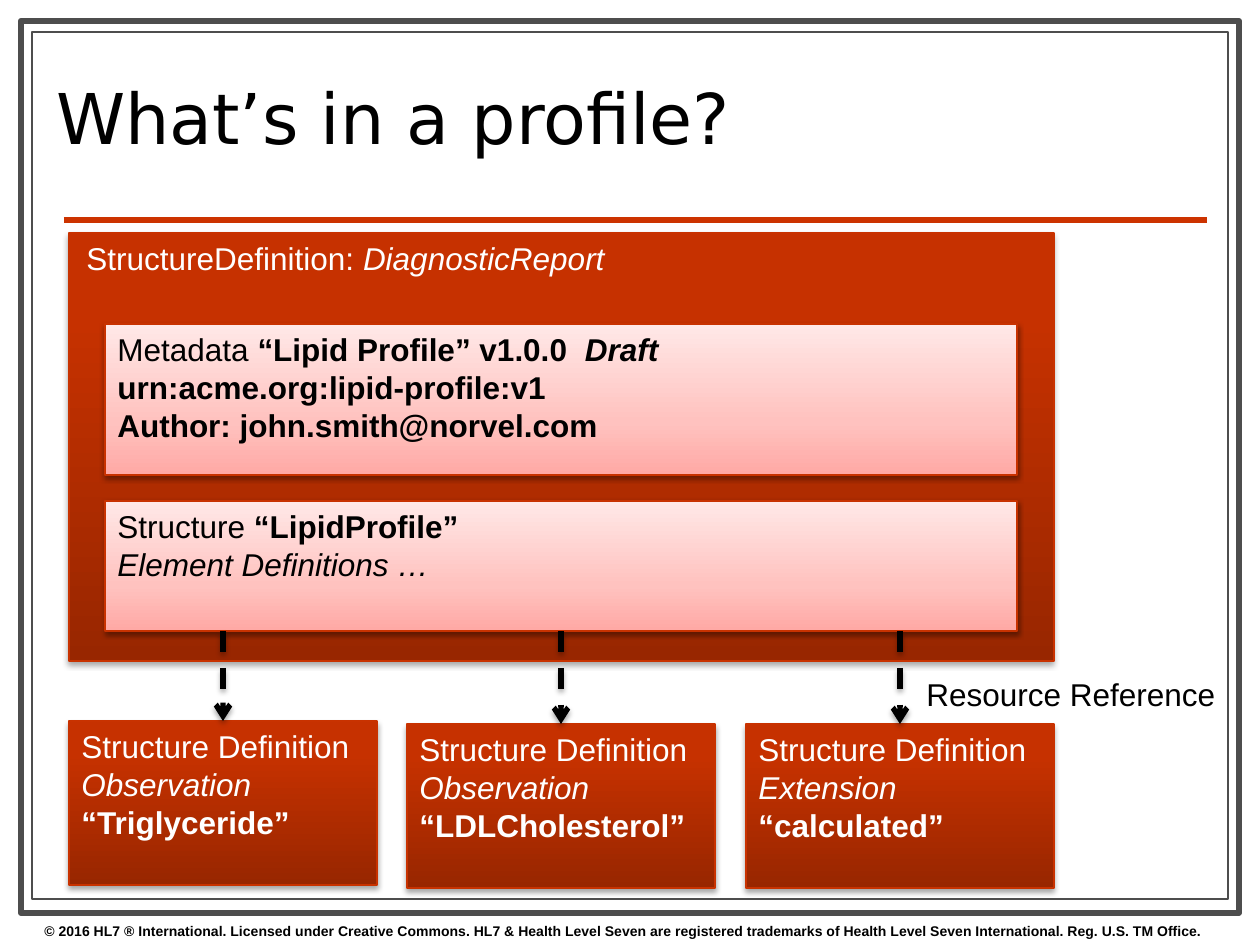
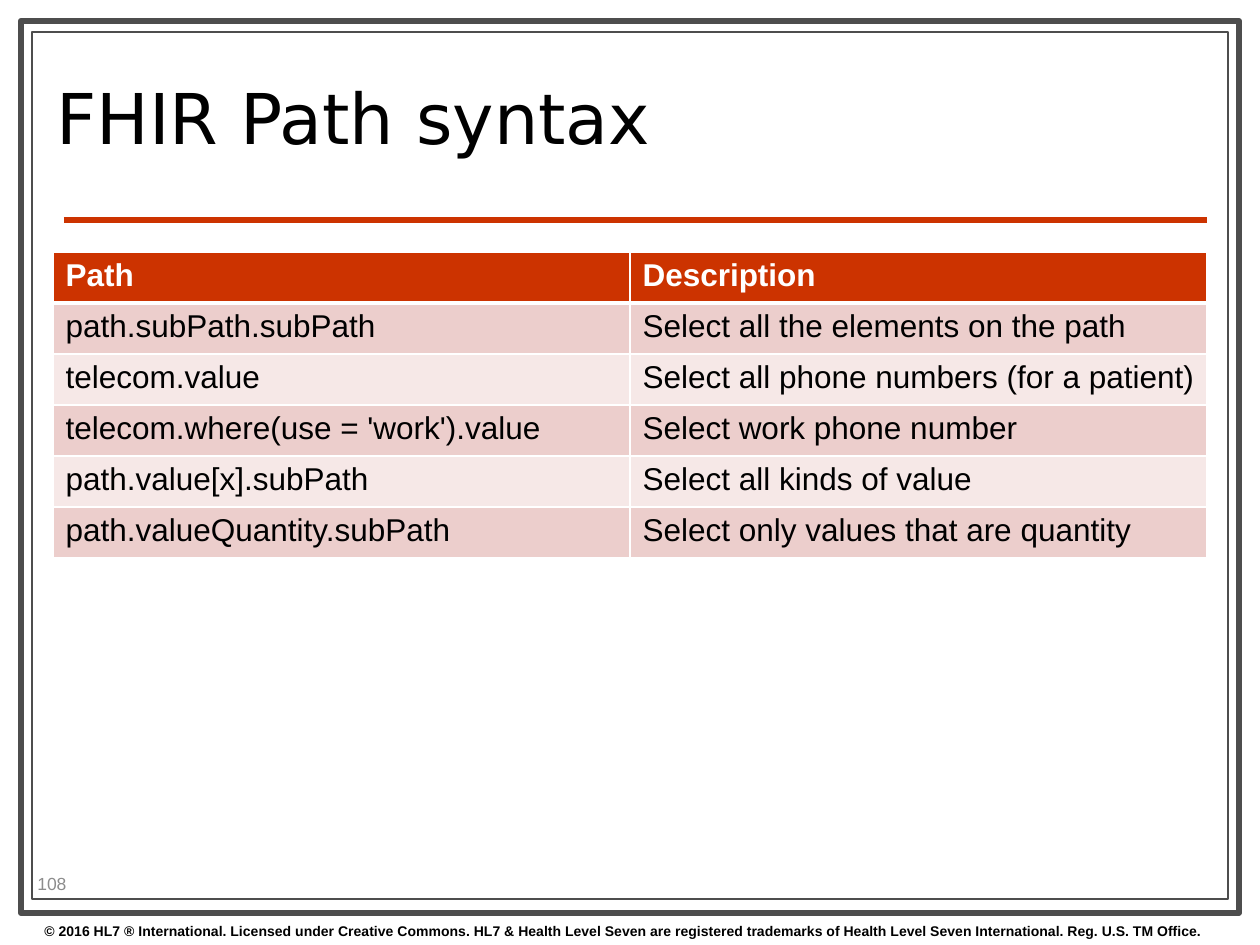
from dataclasses import dataclass

from lxml.etree import SubElement
from pptx import Presentation
from pptx.dml.color import RGBColor
from pptx.enum.dml import MSO_LINE
from pptx.enum.shapes import MSO_CONNECTOR, MSO_SHAPE
from pptx.enum.text import MSO_ANCHOR, PP_ALIGN
from pptx.oxml.ns import qn
from pptx.util import Emu, Pt

RECTANGLE = MSO_SHAPE.RECTANGLE
STRAIGHT = MSO_CONNECTOR.STRAIGHT
DASH = MSO_LINE.DASH
TOP, MIDDLE = MSO_ANCHOR.TOP, MSO_ANCHOR.MIDDLE
LEFT = PP_ALIGN.LEFT
EMU_PER_PX = 914400 / 126
EMU_PER_POINT = 12700
BOLD, ITALIC = {"bold": True}, {"italic": True}
BOLD_ITALIC = BOLD | ITALIC


@dataclass(frozen=True)
class Theme:
    """Colours, fonts, type sizes and effects of the deck."""
    body_font: str = "Arial"
    title_font: str = "DejaVu Sans"
    title_size: int = 40
    body_size: int = 18
    number_size: int = 10
    footer_size: int = 8
    white: str = "FFFFFF"
    black: str = "000000"
    frame: str = "4D4D4D"
    accent: str = "CC3300"
    edge: str = "C83200"
    number: str = "8C8C8C"
    bands: tuple = ("ECCECC", "F6E8E7")
    red_stops: tuple = ((0, "982600"), (80, "C63100"), (100, "C73200"))
    pink_stops: tuple = ((0, "FFA9A5"), (35, "FFC2BF"), (100, "FFE8E7"))
    red_shadow: tuple = (35, 1.8)
    pink_shadow: tuple = (38, 1.6)
    shadow_blur: float = 3.1


THEME = Theme()


@dataclass(frozen=True)
class Box:
    """A rectangle in px."""
    left: int
    top: int
    width: int
    height: int

    @property
    def bottom(self):
        """Return the lower edge."""
        return self.top + self.height

    def inner(self, left, top, width, height):
        """Return a box placed relative to this one."""
        return Box(self.left + left, self.top + top, width, height)

    def emu(self):
        """Return left, top, width and height in EMU."""
        return [px(n) for n in (self.left, self.top, self.width, self.height)]


def px(count):
    """Turn px into EMU."""
    return Emu(round(count * EMU_PER_PX))


def rgb(code):
    """Turn a hex code into a colour."""
    return RGBColor.from_string(code)


def child(parent, tag, **values):
    """Append a drawing element with the given attributes."""
    return SubElement(parent, qn(f"a:{tag}"), {key: str(value) for key, value in values.items()})


def set_line(line, colour, points):
    """Give a line its colour and width."""
    line.color.rgb = rgb(colour)
    line.width = Pt(points)


def set_shadow(properties, shadow):
    """Append a downward shadow with the given opacity and distance."""
    opacity, distance = shadow
    outer = child(child(properties, "effectLst"), "outerShdw",
                  blurRad=round(THEME.shadow_blur * EMU_PER_POINT),
                  dist=round(distance * EMU_PER_POINT), dir=5400000, rotWithShape=0)
    child(child(outer, "srgbClr", val=THEME.black), "alpha", val=opacity * 1000)


def write(frame, lines, colour=THEME.black, size=THEME.body_size, font=THEME.body_font,
          anchor=TOP, spacing=None, wrap=True):
    """Fill a text frame with lines, each a list of (text, format) spans."""
    frame.word_wrap, frame.vertical_anchor = wrap, anchor
    for index, spans in enumerate(lines):
        para = frame.add_paragraph() if index else frame.paragraphs[0]
        para.alignment = LEFT
        if spacing:
            para.line_spacing = spacing
        for text, extra in spans:
            span = para.add_run()
            span.text = text
            span.font.color.rgb = rgb(colour)
            for name, value in ({"name": font, "size": Pt(size)} | extra).items():
                setattr(span.font, name, value)


def add_label(page, box, lines, **style):
    """Add a text box."""
    write(page.shapes.add_textbox(*box.emu()).text_frame, lines, **style)


def add_frame(page, box, points):
    """Add a plain white rectangle with a grey outline."""
    shape = page.shapes.add_shape(RECTANGLE, *box.emu())
    shape.shadow.inherit = False
    shape.fill.solid()
    shape.fill.fore_color.rgb = rgb(THEME.white)
    set_line(shape.line, THEME.frame, points)


def add_panel(page, box, stops, shadow, lines=(), colour=THEME.white):
    """Add a shadowed rectangle with a vertical gradient and text."""
    shape = page.shapes.add_shape(RECTANGLE, *box.emu())
    properties = shape._element.spPr
    shape.fill.gradient()
    shape.fill.gradient_angle = 90
    stop_list = properties.find(qn("a:gradFill")).find(qn("a:gsLst"))
    stop_list.clear()
    for percent, code in stops:
        child(child(stop_list, "gs", pos=percent * 1000), "srgbClr", val=code)
    set_line(shape.line, THEME.edge, 0.75)
    set_shadow(properties, shadow)
    write(shape.text_frame, lines, colour)


def add_line(page, start, end, colour):
    """Add a straight 3 point connector."""
    line = page.shapes.add_connector(STRAIGHT, *(px(n) for n in (*start, *end)))
    set_line(line.line, colour, 3)
    return line


def add_arrow(page, start, end):
    """Add a dashed, shadowed arrow."""
    arrow = add_line(page, start, end, THEME.black)
    arrow.line.dash_style = DASH
    properties = arrow._element.spPr
    child(properties.find(qn("a:ln")), "tailEnd", type="arrow")
    set_shadow(properties, THEME.red_shadow)


def add_page(deck, title):
    """Add a page with the double frame, title, rule and copyright line."""
    page = deck.slides.add_slide(deck.slide_layouts[6])
    add_frame(page, Box(21, 21, 1218, 892), 3.5)
    add_frame(page, Box(32, 32, 1196, 867), 0.75)
    rule = add_line(page, (64, 220), (1207, 220), THEME.accent)
    child(rule._element.spPr, "effectLst")
    copyright_line = ("© 2016 HL7 ® International. Licensed under Creative Commons. "
                      "HL7 & Health Level Seven are registered trademarks of "
                      "Health Level Seven International. Reg. U.S. TM Office.")
    add_label(page, Box(32, 916, 1228, 29), [[(copyright_line, BOLD)]], size=THEME.footer_size)
    add_label(page, Box(44, 45, 903, 159), [[(title, {})]], size=THEME.title_size,
              font=THEME.title_font, anchor=MIDDLE, spacing=0.8)
    return page


def add_definition(page, box):
    """Add the report definition and return its structure panel's box."""
    add_panel(page, box, THEME.red_stops, THEME.red_shadow)
    add_label(page, box.inner(5, 0, 764, 50),
              [[("StructureDefinition: ", {}), ("DiagnosticReport", ITALIC)]],
              colour=THEME.white)
    metadata = [
        [("Metadata", {}), (" “Lipid Profile” v1.0.0 ", BOLD), (" Draft", BOLD_ITALIC)],
        [("urn:acme.org:lipid-profile:v1", BOLD)],
        [("Author: john.smith@norvel.com", BOLD)],
    ]
    structure = [
        [("Structure", {}), (" “LipidProfile”", BOLD)],
        [("Element Definitions …", ITALIC)],
    ]
    structure_box = box.inner(36, 268, 912, 130)
    for part, lines in ((box.inner(36, 91, 912, 151), metadata), (structure_box, structure)):
        add_panel(page, part, THEME.pink_stops, THEME.pink_shadow, lines, THEME.black)
    return structure_box


def add_references(page, box, source_bottom):
    """Add the referenced definitions in a row, with arrows from above."""
    references = [
        ("Observation", "“Triglyceride”", 0),
        ("Observation", "“LDLCholesterol”", 3),
        ("Extension", "“calculated”", 3),
    ]
    width, height = 308, 164
    step = (box.width - width) / (len(references) - 1)
    parts = [box.inner(int(index * step), drop, width, height)
             for index, (_, _, drop) in enumerate(references)]
    for part, (base, name, _) in zip(parts, references):
        add_panel(page, part, THEME.red_stops, THEME.red_shadow,
                  [[("Structure Definition", {})], [(base, ITALIC)], [(name, BOLD)]])
    for part in parts:
        middle = part.left + width // 2
        add_arrow(page, (middle, source_bottom), (middle, part.top))
    add_label(page, box.inner(845, -52, 318, 50), [[("Resource Reference", {})]], wrap=False)


def add_syntax_table(page, box, rows):
    """Add a two-column table with a header and banded rows."""
    table = page.shapes.add_table(len(rows), len(rows[0]), *box.emu()).table
    for column in table.columns:
        column.width = px(box.width / len(rows[0]))
    for index, texts in enumerate(rows):
        table.rows[index].height = px(box.height / len(rows))
        header = index == 0
        fill = THEME.accent if header else THEME.bands[(index - 1) % 2]
        borders = {"lnL": 1, "lnR": 1, "lnT": 3 if index == 1 else 1, "lnB": 3 if header else 1}
        for cell, text in zip(table.rows[index].cells, texts):
            properties = cell._tc.get_or_add_tcPr()
            for tag, points in borders.items():
                border = child(properties, tag, w=points * EMU_PER_POINT)
                child(child(border, "solidFill"), "srgbClr", val=THEME.white)
            cell.fill.solid()
            cell.fill.fore_color.rgb = rgb(fill)
            write(cell.text_frame, [[(text, {"bold": header})]],
                  THEME.white if header else THEME.black)


def build_profile_page(deck):
    """Build the page on the contents of a profile."""
    page = add_page(deck, "What’s in a profile?")
    structure = add_definition(page, Box(69, 233, 985, 428))
    add_references(page, Box(69, 721, 985, 167), structure.bottom)


def build_syntax_page(deck):
    """Build the page on path syntax."""
    page = add_page(deck, "FHIR Path syntax")
    add_label(page, Box(25, 868, 100, 30), [[("108", {})]], colour=THEME.number,
              size=THEME.number_size, anchor=MIDDLE)
    add_syntax_table(page, Box(53, 252, 1154, 306), [
        ("Path", "Description"),
        ("path.subPath.subPath", "Select all the elements on the path"),
        ("telecom.value", "Select all phone numbers (for a patient)"),
        ("telecom.where(use = 'work').value", "Select work phone number"),
        ("path.value[x].subPath", "Select all kinds of value"),
        ("path.valueQuantity.subPath", "Select only values that are quantity"),
    ])


def main():
    """Build and save the deck."""
    deck = Presentation()
    deck.slide_width, deck.slide_height = px(1260), px(945)
    build_profile_page(deck)
    build_syntax_page(deck)
    deck.save("out.pptx")


if __name__ == "__main__":
    main()
